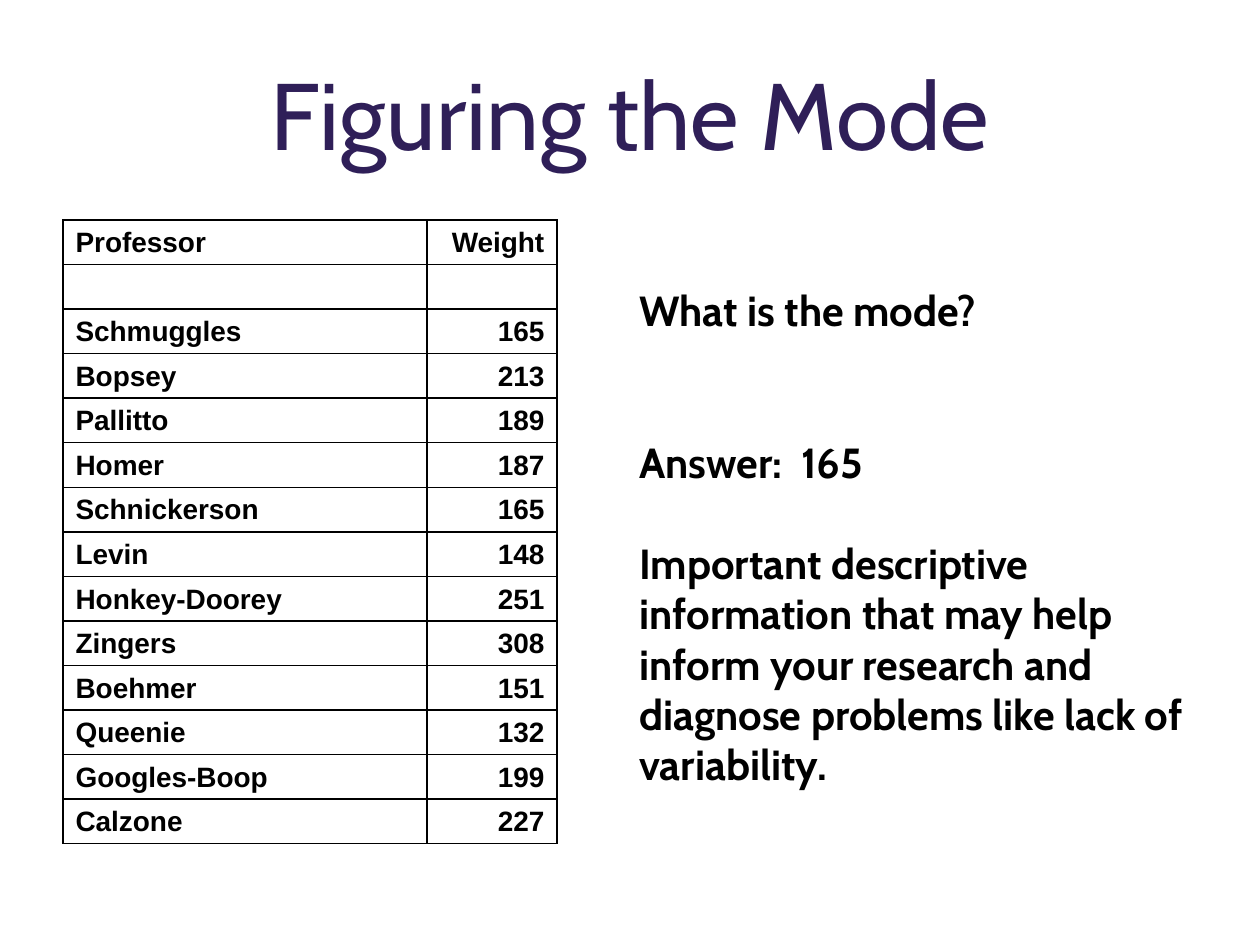
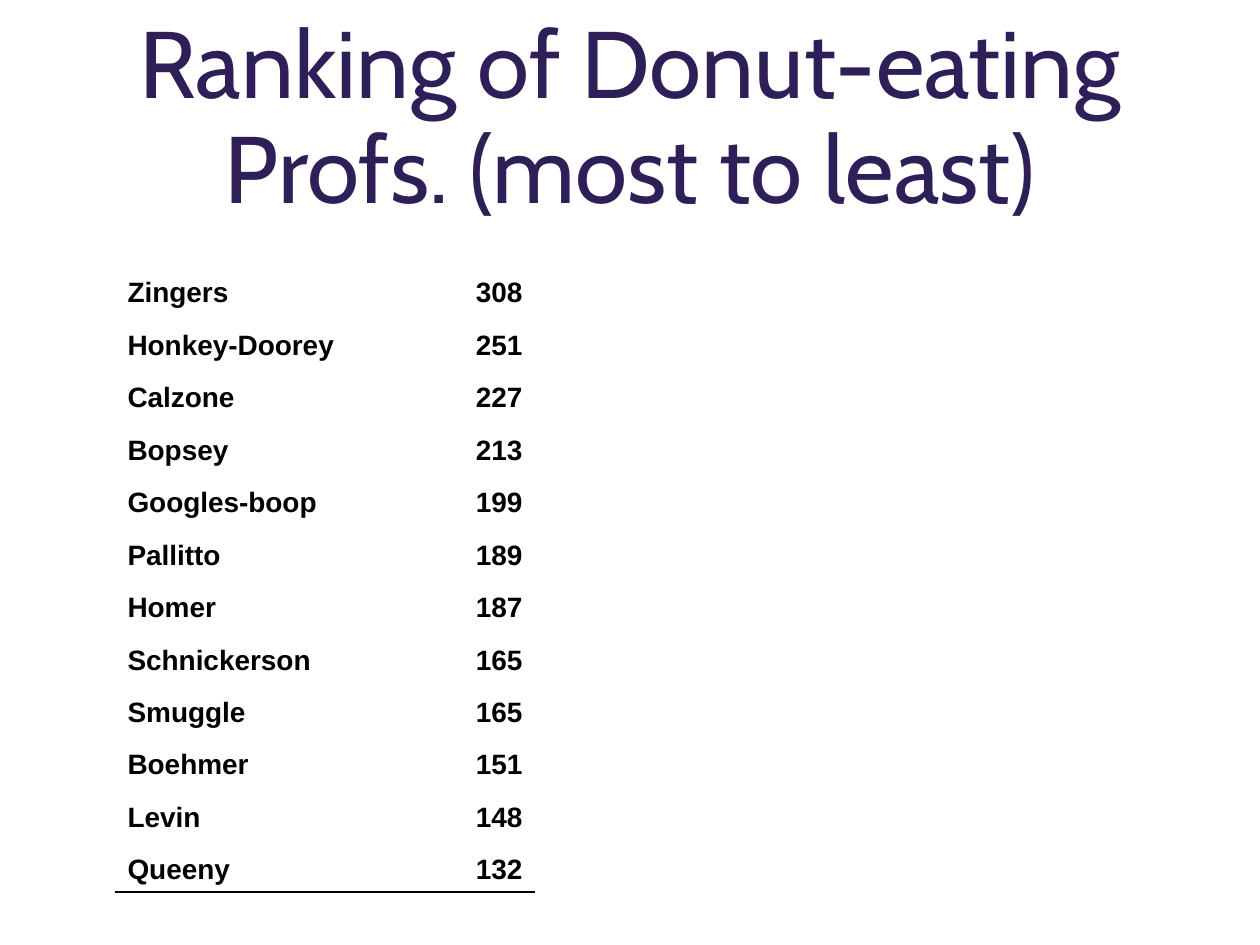
from lxml.etree import SubElement as Sub
from pptx import Presentation
from pptx.dml.color import RGBColor as RGB
from pptx.enum.text import MSO_ANCHOR as Anchor, PP_ALIGN as Align
from pptx.oxml.ns import qn
from pptx.util import Emu, Pt

INK = {"title": "2F1F58", "text": "000000", "paper": "FFFFFF"}
HEAD, BODY, CELL = ("Cabin", 54, False, "title"), ("Cabin", 24, True, "text"), ("Arial", 16, True, "text")
EDGES = "LRTB"


def px(n):
    return Emu(round(n * 914400 / 126))


class Deck:
    """Holds the style and the current slide."""

    def __init__(self):
        self.prs = Presentation()
        self.prs.slide_width, self.prs.slide_height = px(1260), px(945)

    def page(self, title):
        self.slide = self.prs.slides.add_slide(self.prs.slide_layouts[6])
        frame = self.box(63, 38, 1134, 158)
        frame.vertical_anchor = Anchor.MIDDLE
        par = frame.paragraphs[0]
        par.alignment, par.line_spacing = Align.CENTER, Pt(60)
        self.run(par, title, HEAD)

    def box(self, x, y, w, h):
        frame = self.slide.shapes.add_textbox(px(x), px(y), px(w), px(h)).text_frame
        frame.word_wrap = True
        return frame

    def run(self, par, text, style):
        run = par.add_run()
        run.text = text
        font = run.font
        font.name, size, font.bold, ink = style
        font.size = Pt(size)
        font.color.rgb = RGB.from_string(INK[ink])

    def notes(self, x, y, w, h, lines):
        """Add paragraphs, each given as a text and the points of space before it."""
        frame = self.box(x, y, w, h)
        for i, (text, gap) in enumerate(lines):
            par = frame.add_paragraph() if i else frame.paragraphs[0]
            if gap:
                par.space_before = Pt(gap)
            self.run(par, text, BODY)

    def table(self, x, y, cols, high, rows, ruled):
        """Draw every border if ruled, or else only the one below the last row."""
        shape = self.slide.shapes.add_table(len(rows), len(cols), px(x), px(y), px(sum(cols)), px(high))
        grid = shape.table
        grid.first_row = grid.horz_banding = False
        for col, wide in zip(grid.columns, cols):
            col.width = px(wide)
        for r, row in enumerate(rows):
            grid.rows[r].height = px(high / len(rows))
            for c, text in enumerate(row):
                last = r == len(rows) - 1
                edges = EDGES if ruled else "B" if last else ""
                self.cell(grid.cell(r, c), str(text), c, edges, ruled)

    def cell(self, cell, text, col, edges, solid):
        cell.vertical_anchor = Anchor.BOTTOM
        cell.margin_top, cell.margin_bottom = px(5), px(6)
        par = cell.text_frame.paragraphs[0]
        par.alignment = Align.RIGHT if col else Align.LEFT
        if text:
            self.run(par, text, CELL)
        else:
            Sub(par._p, qn("a:endParaRPr"), sz=str(CELL[1] * 100))
        for edge in EDGES:
            self.edge(cell, edge, edge in edges)
        if solid:
            cell.fill.solid()
            cell.fill.fore_color.rgb = RGB.from_string(INK["paper"])
        else:
            cell.fill.background()

    def edge(self, cell, side, shown):
        line = Sub(cell._tc.get_or_add_tcPr(), qn("a:ln" + side), w=str(Pt(1)))
        if shown:
            Sub(Sub(line, qn("a:solidFill")), qn("a:srgbClr"), val=INK["text"])
        else:
            Sub(line, qn("a:noFill"))


WEIGHTS = [
    ("Professor", "Weight"), ("", ""), ("Schmuggles", 165), ("Bopsey", 213),
    ("Pallitto", 189), ("Homer", 187), ("Schnickerson", 165), ("Levin", 148),
    ("Honkey-Doorey", 251), ("Zingers", 308), ("Boehmer", 151),
    ("Queenie", 132), ("Googles-Boop", 199), ("Calzone", 227),
]
RANKS = [
    ("Zingers", 308), ("Honkey-Doorey", 251), ("Calzone", 227), ("Bopsey", 213),
    ("Googles-boop", 199), ("Pallitto", 189), ("Homer", 187), ("Schnickerson", 165),
    ("Smuggle", 165), ("Boehmer", 151), ("Levin", 148), ("Queeny", 132),
]
REMARKS = [
    ("What is the mode?", 0),
    ("Answer:  165", 58),
    ("Important descriptive information that may help inform your research "
     "and diagnose problems like lack of variability.", 29),
]


def main():
    deck = Deck()
    deck.page("Figuring the Mode")
    deck.table(63, 220, (364, 130), 613, WEIGHTS, True)
    deck.notes(627, 278, 590, 515, REMARKS)
    deck.page("Ranking of Donut-eating Profs. (most to least)")
    deck.table(115, 262, (267, 153), 630, RANKS, False)
    deck.prs.save("out.pptx")


if __name__ == "__main__":
    main()
